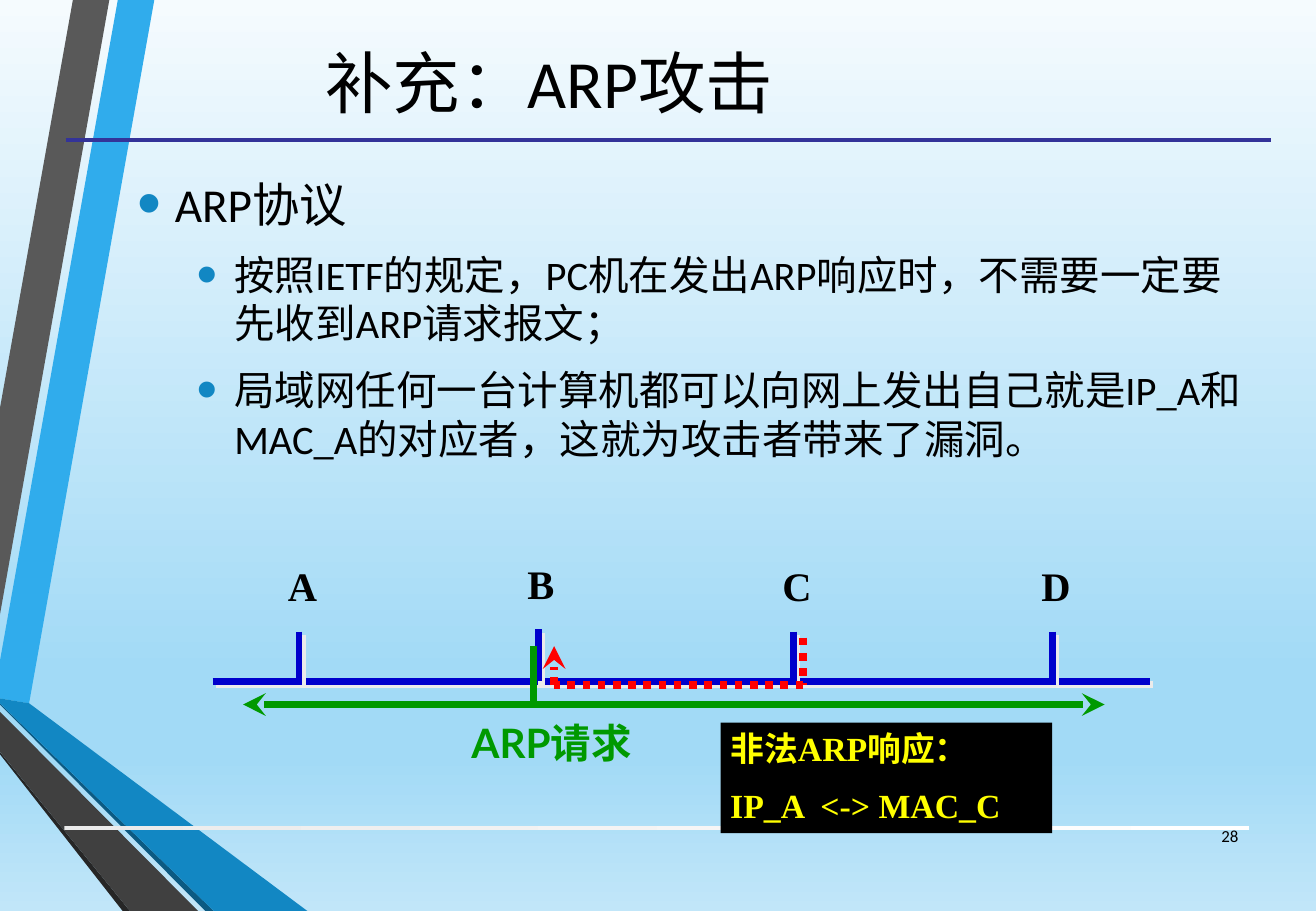
import pptx
import pptx.util
import pptx.dml.color
import pptx.enum.dml
import pptx.enum.shapes
import pptx.enum.text
import pptx.oxml
import pptx.oxml.ns

PX = 9144  # 100 px to the inch
BLUE, GREEN, RED = "0000CC", "009900", "FF0000"
ALIGN = pptx.enum.text.PP_ALIGN
ANCHOR = pptx.enum.text.MSO_ANCHOR
SOLID = pptx.enum.dml.MSO_LINE.SOLID
DOTTED = pptx.enum.dml.MSO_LINE.ROUND_DOT

RIBBONS = [
    ("30ACEC", [(0, 544), (0, 575), (24, 579), (127, 0), (97, 0)]),
    ("595959", [(90, 0), (60, 0), (0, 336), (0, 506)]),
    ("262626", [(0, 619), (0, 621), (101, 750), (107, 750)]),
    ("0C5A82", [(0, 579), (0, 580), (169, 750), (176, 750)]),
    ("1287C3", [(0, 579), (176, 750), (253, 750), (24, 579), (0, 575)]),
    ("404040", [(0, 619), (107, 750), (163, 750), (0, 586)]),
]
BODY = [
    (0, "ARP协议"),
    (1, "按照IETF的规定，PC机在发出ARP响应时，不需要一定要先收到ARP请求报文；"),
    (1, "局域网任何一台计算机都可以向网上发出自己就是IP_A和MAC_A的对应者，这就为攻击者带来了漏洞。"),
]
# Host: x of its tap on the wire, top and bottom of the tap
HOSTS = {"A": (246, 520, 564), "B": (443, 518, 561), "C": (653, 520, 564), "D": (866, 520, 564)}

HOST_FONT = {"name": "Times New Roman", "size": 24, "bold": True}
REQUEST_FONT = {"name": "Lato", "size": 24, "bold": True}
REPLY_FONT = {"name": "Times New Roman", "size": 20, "bold": True}


def rgb(value):
    return pptx.dml.color.RGBColor.from_string(value)


def emu(*lengths):
    return [pptx.util.Emu(length * PX) for length in lengths]


def add_xml(parent, markup):
    namespace = pptx.oxml.ns.nsdecls("a")
    parent.append(pptx.oxml.parse_xml(markup.replace(" ", f" {namespace} ", 1)))


def set_gradient(fill, element, stops, angle):
    fill.gradient()
    fill.gradient_angle = angle
    stop_list = element.find(".//" + pptx.oxml.ns.qn("a:gsLst"))
    for old in list(stop_list):
        stop_list.remove(old)
    for percent, color in stops:
        add_xml(stop_list, f'<a:gs pos="{percent * 1000}"><a:srgbClr val="{color}"/></a:gs>')


def write(paragraph, text, font, color="000000"):
    run = paragraph.add_run()
    run.text = text
    for key, value in font.items():
        setattr(run.font, key, pptx.util.Pt(value) if key == "size" else value)
    run.font.color.rgb = rgb(color)


def format_frame(frame, inset_x=8, inset_y=4, anchor=ANCHOR.TOP):
    insets = {"margin_left": inset_x, "margin_right": inset_x,
              "margin_top": inset_y, "margin_bottom": inset_y}
    for key, value in insets.items():
        setattr(frame, key, emu(value)[0])
    frame.word_wrap = True
    frame.vertical_anchor = anchor


def add_label(slide, box, text, font, color="000000", align=ALIGN.LEFT, **frame_format):
    frame = slide.shapes.add_textbox(*emu(*box)).text_frame
    format_frame(frame, **frame_format)
    frame.paragraphs[0].alignment = align
    write(frame.paragraphs[0], text, font, color)


def add_box(slide, box):
    shape = slide.shapes.add_shape(pptx.enum.shapes.MSO_SHAPE.RECTANGLE, *emu(*box))
    shape.shadow.inherit = False
    shape.line.fill.background()
    return shape


def add_line(slide, start, end, color, width, dash=SOLID, arrow=False, shadow=False):
    straight = pptx.enum.shapes.MSO_CONNECTOR.STRAIGHT
    line = slide.shapes.add_connector(straight, *emu(*start, *end))
    line.line.color.rgb = rgb(color)
    line.line.width = pptx.util.Pt(width)
    line.line.dash_style = dash
    if arrow:
        add_xml(line.line._get_or_add_ln(), '<a:tailEnd type="stealth"/>')
    effect = ('<a:outerShdw dist="35560" dir="2700000"><a:srgbClr val="EBEBEB"/></a:outerShdw>'
              if shadow else "")
    add_xml(line.element.spPr, f"<a:effectLst >{effect}</a:effectLst>")


def add_ribbon(slide, color, points):
    builder = slide.shapes.build_freeform(*points[0], scale=PX)
    builder.add_line_segments(points[1:], close=True)
    ribbon = builder.convert_to_shape()
    ribbon.shadow.inherit = False
    ribbon.fill.solid()
    ribbon.fill.fore_color.rgb = rgb(color)
    ribbon.line.fill.background()


def add_body(slide):
    frame = slide.shapes.add_textbox(*emu(99, 139, 938, 252)).text_frame
    format_frame(frame, 10, 5)
    for index, (level, text) in enumerate(BODY):
        paragraph = frame.paragraphs[0] if index == 0 else frame.add_paragraph()
        size = (28, 24)[level]
        paragraph.level = level
        paragraph.space_after = pptx.util.Pt(6)
        if index:
            paragraph.space_before = pptx.util.Pt(size * 0.2)
        properties = paragraph._p.get_or_add_pPr()
        properties.set("marL", str((35, 84)[level] * PX))
        properties.set("indent", str(-31 * PX))
        add_xml(properties, '<a:buClr ><a:srgbClr val="1287C3"/></a:buClr>')
        add_xml(properties, '<a:buSzPct val="145000"/>')
        add_xml(properties, '<a:buFont typeface="Arial"/>')
        add_xml(properties, '<a:buChar char="•"/>')
        write(paragraph, text, {"name": "Calibri", "size": size})


def add_reply(slide):
    reply = add_box(slide, (593, 595, 273, 91))
    reply.fill.solid()
    reply.fill.fore_color.rgb = rgb("000000")
    frame = reply.text_frame
    format_frame(frame)
    first, second = frame.paragraphs[0], frame.add_paragraph()
    second.space_before = pptx.util.Pt(10)
    for paragraph, text in ((first, "非法ARP响应："), (second, "IP_A  <-> MAC_C")):
        paragraph.alignment = ALIGN.LEFT
        write(paragraph, text, REPLY_FONT, "FFFF00")


def main():
    deck = pptx.Presentation()
    deck.slide_width, deck.slide_height = emu(1083, 750)
    slide = deck.slides.add_slide(deck.slide_layouts[5])

    # Background, ribbons and rules
    sky = [(0, "F5FBFE"), (74, "A2DAF6"), (83, "A2DAF6"), (100, "C1E6F9")]
    set_gradient(slide.background.fill, slide.element, sky, 270)
    for color, points in RIBBONS:
        add_ribbon(slide, color, points)
    footer_rule = add_box(slide, (53, 680, 975, 3))
    set_gradient(footer_rule.fill, footer_rule.element, [(0, "EBEBEB"), (100, "FFFFFF")], 0)
    add_line(slide, (54, 115), (1046, 115), "333399", 2.25)

    # Title and body
    title = slide.shapes.title
    title.left, title.top, title.width, title.height = emu(43, 5, 818, 124)
    format_frame(title.text_frame, 10, 5, ANCHOR.MIDDLE)
    title.text_frame.paragraphs[0].alignment = ALIGN.CENTER
    write(title.text_frame.paragraphs[0], "补充：ARP攻击", {"name": "Calibri", "size": 40})
    add_body(slide)

    # Wire with its hosts
    add_line(slide, (175, 561), (946, 561), BLUE, 4, shadow=True)
    for host, (x, top, bottom) in HOSTS.items():
        add_line(slide, (x, top), (x, bottom), BLUE, 4, shadow=True)
        add_label(slide, (x - 17, top - 62, 43, 48), host, HOST_FONT)

    # Request broadcast from B
    add_line(slide, (439, 532), (439, 580), GREEN, 4.5)
    for end in (200, 909):
        add_line(slide, (439, 580), (end, 580), GREEN, 4.5, arrow=True)
    add_label(slide, (380, 587, 188, 48), "ARP请求", REQUEST_FONT, GREEN)

    # Forged reply from C to B
    route = [(661, 525), (661, 564), (456, 564), (456, 532)]
    for start, end in zip(route, route[1:]):
        add_line(slide, start, end, RED, 4.5, DOTTED, arrow=end == route[-1])
    add_reply(slide)

    # Page number
    add_label(slide, (978, 668, 51, 40), "28", {"name": "Calibri", "size": 10},
              align=ALIGN.RIGHT, inset_x=10, inset_y=5, anchor=ANCHOR.MIDDLE)

    deck.save("out.pptx")


if __name__ == "__main__":
    main()
